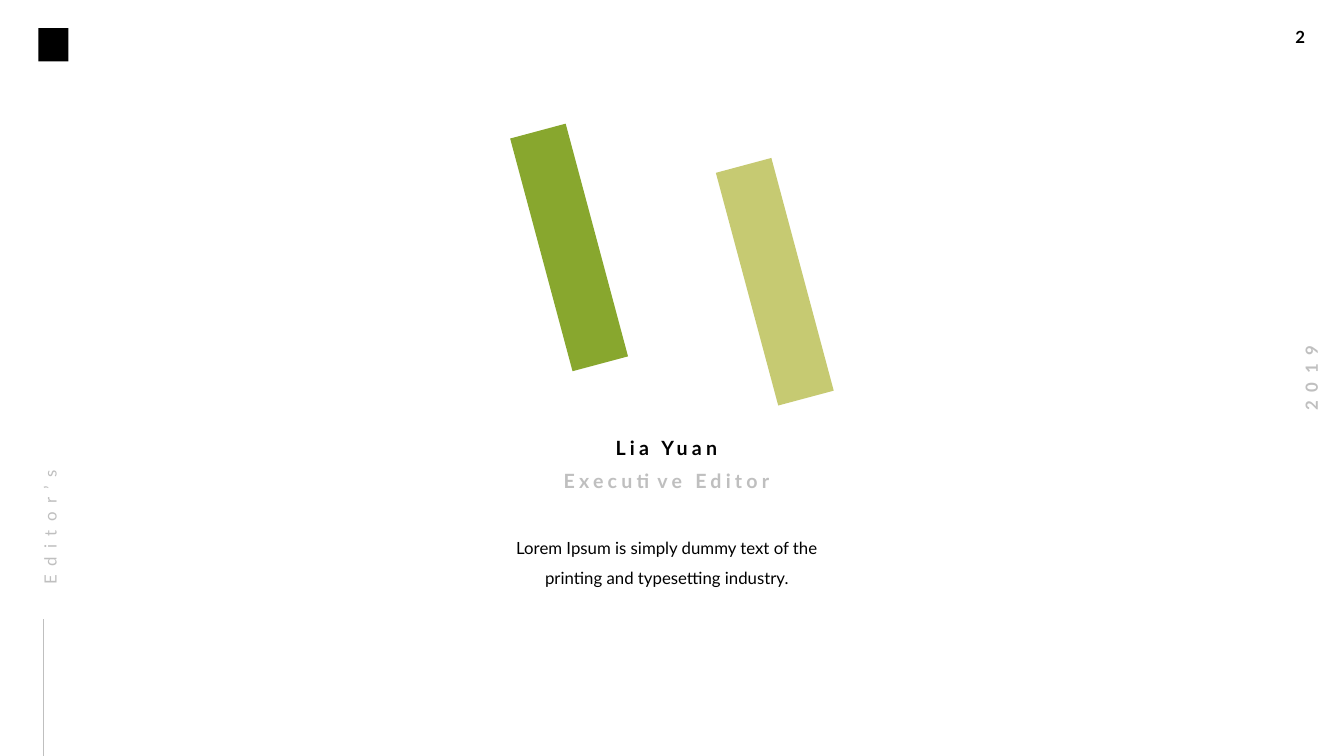
import pptx
import pptx.util
import pptx.dml.color
import pptx.enum.shapes
import pptx.enum.text
import pptx.oxml.ns
import lxml.etree

BLACK = pptx.dml.color.RGBColor(0x00, 0x00, 0x00)
SILVER = pptx.dml.color.RGBColor(0xBF, 0xBF, 0xBF)
LEAF = pptx.dml.color.RGBColor(0x88, 0xA7, 0x2E)
OLIVE = pptx.dml.color.RGBColor(0xC6, 0xCA, 0x72)
CENTER = pptx.enum.text.PP_ALIGN.CENTER
LEFT = pptx.enum.text.PP_ALIGN.LEFT
DEFAULT_INSETS = (0.1, 0.05, 0.1, 0.05)
TIGHT_INSETS = (0, 0, 0.1, 0)


class EditorPage:
    font = "Lato"

    def __init__(self, deck):
        self.page = deck.slides.add_slide(deck.slide_layouts[1])

    def place(self, box, left, top, width, height, rotation=0):
        box.left, box.top = pptx.util.Inches(left), pptx.util.Inches(top)
        box.width, box.height = pptx.util.Inches(width), pptx.util.Inches(height)
        box.rotation = rotation

    def set_text(self, box, text, size=12, color=BLACK, bold=False, tracking=0,
                 align=LEFT, spacing=1, insets=TIGHT_INSETS, wrap=True):
        frame = box.text_frame
        frame.word_wrap = wrap
        frame.auto_size = pptx.enum.text.MSO_AUTO_SIZE.SHAPE_TO_FIT_TEXT
        frame.vertical_anchor = pptx.enum.text.MSO_ANCHOR.TOP
        (frame.margin_left, frame.margin_top,
         frame.margin_right, frame.margin_bottom) = map(pptx.util.Inches, insets)
        para = frame.paragraphs[0]
        para.alignment = align
        para.line_spacing = spacing
        para.space_before = pptx.util.Pt(0)
        span = para.add_run()
        span.text = text
        span.font.name = self.font
        span.font.size = pptx.util.Pt(size)
        span.font.bold = bold
        span.font.color.rgb = color
        if tracking:
            span._r.get_or_add_rPr().set("spc", str(tracking * 100))
        return para

    def text(self, text, left, top, width, height, rotation=0, **style):
        box = self.page.shapes.add_textbox(0, 0, 0, 0)
        self.place(box, left, top, width, height, rotation)
        self.set_text(box, text, **style)

    def title(self, text, left, top, width, height, **style):
        box = self.page.shapes.title
        self.place(box, left, top, width, height)
        self.set_text(box, text, **style)

    def body(self, text, left, top, width, height, **style):
        box = self.page.placeholders[1]
        self.place(box, left, top, width, height)
        para = self.set_text(box, text, **style)
        properties = para._p.get_or_add_pPr()
        properties.set("marL", "0")
        properties.set("indent", "0")
        lxml.etree.SubElement(properties, pptx.oxml.ns.qn("a:buNone"))

    def block(self, color, left, top, width, height, rotation=0):
        box = self.page.shapes.add_shape(
            pptx.enum.shapes.MSO_SHAPE.RECTANGLE, 0, 0, 0, 0)
        self.place(box, left, top, width, height, rotation)
        box.shadow.inherit = False
        box.fill.solid()
        box.fill.fore_color.rgb = color
        box.line.fill.background()

    def line(self, start_x, start_y, end_x, end_y):
        rule = self.page.shapes.add_connector(
            pptx.enum.shapes.MSO_CONNECTOR.STRAIGHT,
            *map(pptx.util.Inches, (start_x, start_y, end_x, end_y)))
        rule.line.color.rgb = SILVER
        rule.line.width = pptx.util.Pt(0.5)
        lxml.etree.SubElement(rule._element.spPr, pptx.oxml.ns.qn("a:effectLst"))


def main():
    deck = pptx.Presentation()
    deck.slide_width = pptx.util.Inches(13.33)
    deck.slide_height = pptx.util.Inches(7.5)
    page = EditorPage(deck)

    page.text("2", 12.75, 0.22, 0.41, 0.3, bold=True,
              insets=DEFAULT_INSETS, wrap=False)
    page.text("2019", 12.54, 3.6, 0.93, 0.3, rotation=270, color=SILVER,
              bold=True, tracking=6, align=CENTER,
              insets=DEFAULT_INSETS, wrap=False)
    page.block(BLACK, 0.38, 0.28, 0.3, 0.33)

    for color, left, top in ((OLIVE, 7.4, 1.6), (LEAF, 5.36, 1.26)):
        page.block(color, left, top, 0.57, 2.39, rotation=345)

    page.line(0.43, 7.5, 0.43, 6.14)
    page.text("Editor’s", -0.31, 4.92, 1.48, 0.27, rotation=270,
              color=SILVER, tracking=6, spacing=1.5)

    page.body("Lorem Ipsum is simply dummy text of the printing and "
              "typesetting industry.", 5.04, 5.23, 3.25, 0.57,
              align=CENTER, spacing=1.5)
    heading = dict(size=14, bold=True, tracking=3, align=CENTER)
    page.title("Lia Yuan", 5.13, 4.32, 3.06, 0.24, **heading)
    page.text("Executive Editor", 5.13, 4.65, 3.06, 0.24,
              color=SILVER, **heading)

    deck.save("out.pptx")


if __name__ == "__main__":
    main()
